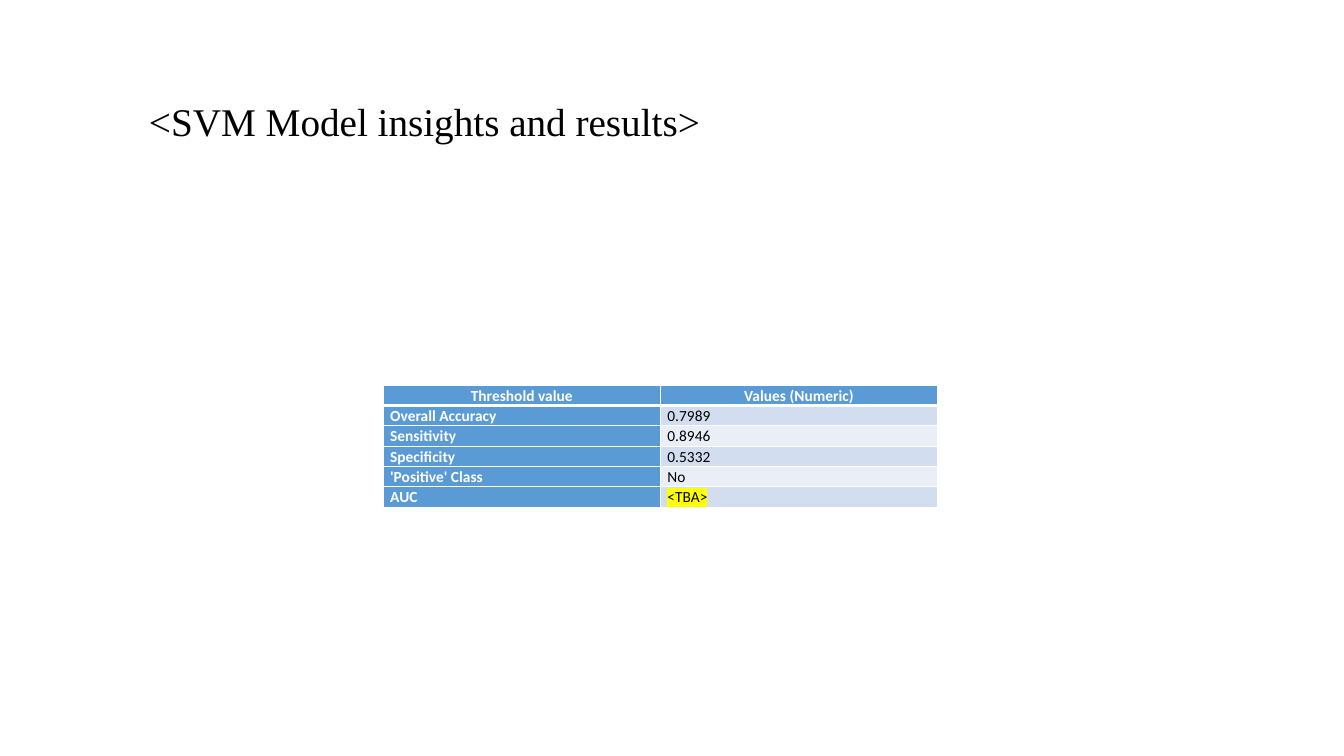
from dataclasses import dataclass

from lxml.etree import SubElement
from pptx import Presentation
from pptx.dml.color import RGBColor
from pptx.enum.text import MSO_ANCHOR, PP_ALIGN
from pptx.oxml import parse_xml
from pptx.oxml.ns import nsdecls, qn
from pptx.util import Inches, Pt

WHITE = RGBColor(0xFF, 0xFF, 0xFF)
BLACK = RGBColor(0x00, 0x00, 0x00)
BLUE = RGBColor(0x5B, 0x9B, 0xD5)
BAND_DARK = RGBColor(0xD2, 0xDE, 0xEF)
BAND_LIGHT = RGBColor(0xEA, 0xEF, 0xF7)
YELLOW = RGBColor(0xFF, 0xFF, 0x00)


@dataclass
class Metric:
    label: str
    value: str
    highlight: RGBColor | None = None


HEADER = Metric("Threshold value", "Values (Numeric)")
METRICS = [
    Metric("Overall Accuracy", "0.7989"),
    Metric("Sensitivity", "0.8946"),
    Metric("Specificity", "0.5332"),
    Metric("'Positive' Class", "No"),
    Metric("AUC", "<TBA>", YELLOW),
]


def add_run(p, text: str, size: float, font: str, color: RGBColor, bold: bool):
    r = p.add_run()
    r.text = text
    for name, value in {"size": Pt(size), "name": font, "bold": bold}.items():
        setattr(r.font, name, value)
    r.font.color.rgb = color
    return r


def highlight_run(r, color: RGBColor) -> None:
    fill = r.font._element.find(qn("a:solidFill"))
    fill.addnext(parse_xml(
        f'<a:highlight {nsdecls("a")}><a:srgbClr val="{color}"/></a:highlight>'))


def set_borders(cell, bottom: float, top: float) -> None:
    tc_pr = cell._tc.get_or_add_tcPr()
    widths = {"lnL": 1, "lnR": 1, "lnT": top, "lnB": bottom}
    for i, (side, width) in enumerate(widths.items()):
        line = parse_xml(f'<a:{side} {nsdecls("a")} w="{Pt(width)}"/>')
        fill = SubElement(line, qn("a:solidFill"))
        SubElement(fill, qn("a:srgbClr"), val=str(WHITE))
        tc_pr.insert(i, line)


def fill_cell(cell, text: str, fill: RGBColor, header: bool, first_row: bool,
              highlight: RGBColor | None = None) -> None:
    margins = {"margin_left": 0.07, "margin_right": 0.07,
               "margin_top": 0, "margin_bottom": 0}
    for name, value in margins.items():
        setattr(cell, name, Inches(value))
    cell.fill.solid()
    cell.fill.fore_color.rgb = fill
    p = cell.text_frame.paragraphs[0]
    p.line_spacing = 1.07
    p.alignment = PP_ALIGN.CENTER if first_row else PP_ALIGN.LEFT
    r = add_run(p, text, 11, "Calibri", WHITE if header else BLACK, header)
    if highlight is not None:
        highlight_run(r, highlight)


def add_metrics_table(s) -> None:
    rows = [HEADER, *METRICS]
    frame = s.shapes.add_table(len(rows), 2, Inches(3.8), Inches(3.82),
                               Inches(5.5), Inches(1.12))
    table = frame.table
    for i, metric in enumerate(rows):
        table.rows[i].height = Inches(0.17)
        first = i == 0
        band = BLUE if first else BAND_DARK if i % 2 else BAND_LIGHT
        label, value = table.cell(i, 0), table.cell(i, 1)
        fill_cell(label, metric.label, BLUE, True, first)
        fill_cell(value, metric.value, band, first, first, metric.highlight)
        for cell in (label, value):
            set_borders(cell, bottom=3 if first else 1, top=3 if i == 1 else 1)
    frame.height = Inches(1.12)


def add_title(s) -> None:
    box = s.shapes.add_textbox(Inches(1.24), Inches(0.7), Inches(10.19), Inches(0.94))
    tf = box.text_frame
    for name, value in {"word_wrap": True, "vertical_anchor": MSO_ANCHOR.MIDDLE}.items():
        setattr(tf, name, value)
    p = tf.paragraphs[0]
    p.line_spacing = 0.9
    add_run(p, " ", 40, "Times New Roman", BLACK, True)
    add_run(p, "<SVM Model insights and results>", 28, "Times New Roman", BLACK, False)


def main() -> None:
    prs = Presentation()
    prs.slide_width, prs.slide_height = Inches(13.33), Inches(7.5)
    s = prs.slides.add_slide(prs.slide_layouts[6])

    # Results table
    add_metrics_table(s)

    # Heading
    add_title(s)

    prs.save("out.pptx")


if __name__ == "__main__":
    main()
